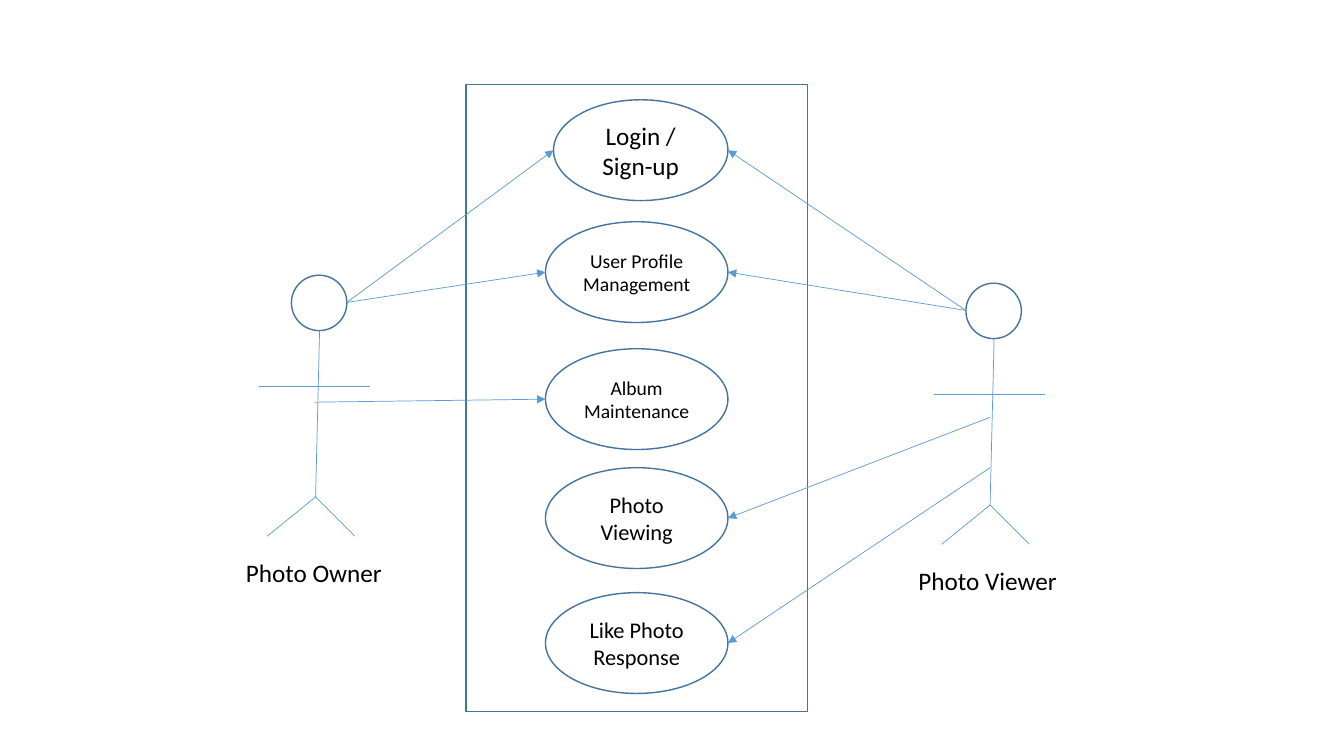
import pptx
import pptx.util
import pptx.dml.color
import pptx.enum.shapes
import pptx.enum.text
import pptx.oxml
import pptx.oxml.ns
import lxml.etree

Inches = pptx.util.Inches
Pt = pptx.util.Pt
RGBColor = pptx.dml.color.RGBColor
MSO_SHAPE = pptx.enum.shapes.MSO_SHAPE

OUTLINE = RGBColor(0x43, 0x73, 0x9E)
LINK = RGBColor(0x5B, 0x9B, 0xD5)
TEXT = RGBColor(0x00, 0x00, 0x00)
FONT = "Calibri"

HEAD_SIZE = 0.55
CASE_HEIGHT = 1
CASE_RIGHT = 7.22

# Use case: label, left, top, font size
USE_CASES = [
    ("Login / Sign-up", 5.49, 0.99, 18),
    ("User Profile Management", 5.41, 2.2, 14),
    ("Album Maintenance", 5.41, 3.46, 14),
    ("Photo Viewing", 5.41, 4.64, 16),
    ("Like Photo Response", 5.41, 5.88, 16),
]


def format_text(paragraph, size):
    for run in paragraph.runs:
        run.font.name = FONT
        run.font.size = Pt(size)
        run.font.color.rgb = TEXT


def add_outline(slide, kind, left, top, width, height):
    outline = slide.shapes.add_shape(
        kind, Inches(left), Inches(top), Inches(width), Inches(height))
    outline.shadow.inherit = False
    outline.fill.background()
    outline.line.color.rgb = OUTLINE
    outline.line.width = Pt(1)
    return outline


def add_line(slide, start, end, arrow=False):
    line = slide.shapes.add_connector(
        pptx.enum.shapes.MSO_CONNECTOR.STRAIGHT,
        Inches(start[0]), Inches(start[1]), Inches(end[0]), Inches(end[1]))
    line.line.color.rgb = LINK
    line.line.width = Pt(0.5)
    if arrow:
        tail = lxml.etree.SubElement(
            line.line._get_or_add_ln(), pptx.oxml.ns.qn("a:tailEnd"))
        tail.set("type", "triangle")
    lxml.etree.SubElement(
        line._element.spPr, pptx.oxml.ns.qn("a:effectLst"))


def add_use_case(slide, label, left, top, size):
    case = add_outline(slide, MSO_SHAPE.OVAL, left, top,
                       CASE_RIGHT - left, CASE_HEIGHT)
    frame = case.text_frame
    frame.text = label
    frame.word_wrap = True
    frame.vertical_anchor = pptx.enum.text.MSO_ANCHOR.MIDDLE
    frame.paragraphs[0].alignment = pptx.enum.text.PP_ALIGN.CENTER
    format_text(frame.paragraphs[0], size)


def add_actor(slide, name, left, top, name_left, name_width):
    """Stick figure whose head has its top-left corner at (left, top)."""
    add_outline(slide, MSO_SHAPE.OVAL, left, top, HEAD_SIZE, HEAD_SIZE)
    neck = (left + 0.28, top + HEAD_SIZE)
    hip = (left + 0.24, top + 2.2)
    add_line(slide, (left - 0.32, top + 1.1), (left + 0.78, top + 1.1))
    add_line(slide, neck, hip)
    for foot in (left - 0.24, left + 0.63):
        add_line(slide, hip, (foot, top + 2.59))

    caption = slide.shapes.add_textbox(
        Inches(name_left), Inches(top + 2.75), Inches(name_width), Inches(0.4))
    frame = caption.text_frame
    frame.text = name
    frame.word_wrap = False
    frame.auto_size = pptx.enum.text.MSO_AUTO_SIZE.SHAPE_TO_FIT_TEXT
    format_text(frame.paragraphs[0], 18)


def main():
    presentation = pptx.Presentation()
    presentation.slide_width = Inches(13.33)
    presentation.slide_height = Inches(7.5)
    slide = presentation.slides.add_slide(presentation.slide_layouts[6])

    # System boundary and its use cases
    add_outline(slide, MSO_SHAPE.RECTANGLE, 4.62, 0.84, 3.39, 6.22)
    for use_case in USE_CASES:
        add_use_case(slide, *use_case)

    # Actors
    add_actor(slide, "Photo Owner", 2.89, 2.73, 2.34, 1.57)
    add_actor(slide, "Photo Viewer", 9.58, 2.81, 9.01, 1.59)

    # Arrows from each actor: start point, index of the use case
    owner_links = [((3.44, 3), 0), ((3.44, 3), 1), ((3.12, 3.99), 2)]
    viewer_links = [((9.58, 3.08), 0), ((9.58, 3.08), 1),
                    ((9.82, 4.14), 3), ((9.82, 4.64), 4)]
    for links, from_left in ((owner_links, True), (viewer_links, False)):
        for start, index in links:
            _, left, top, _ = USE_CASES[index]
            side = left if from_left else CASE_RIGHT
            add_line(slide, start, (side, top + CASE_HEIGHT / 2), arrow=True)

    presentation.save("out.pptx")


if __name__ == "__main__":
    main()
